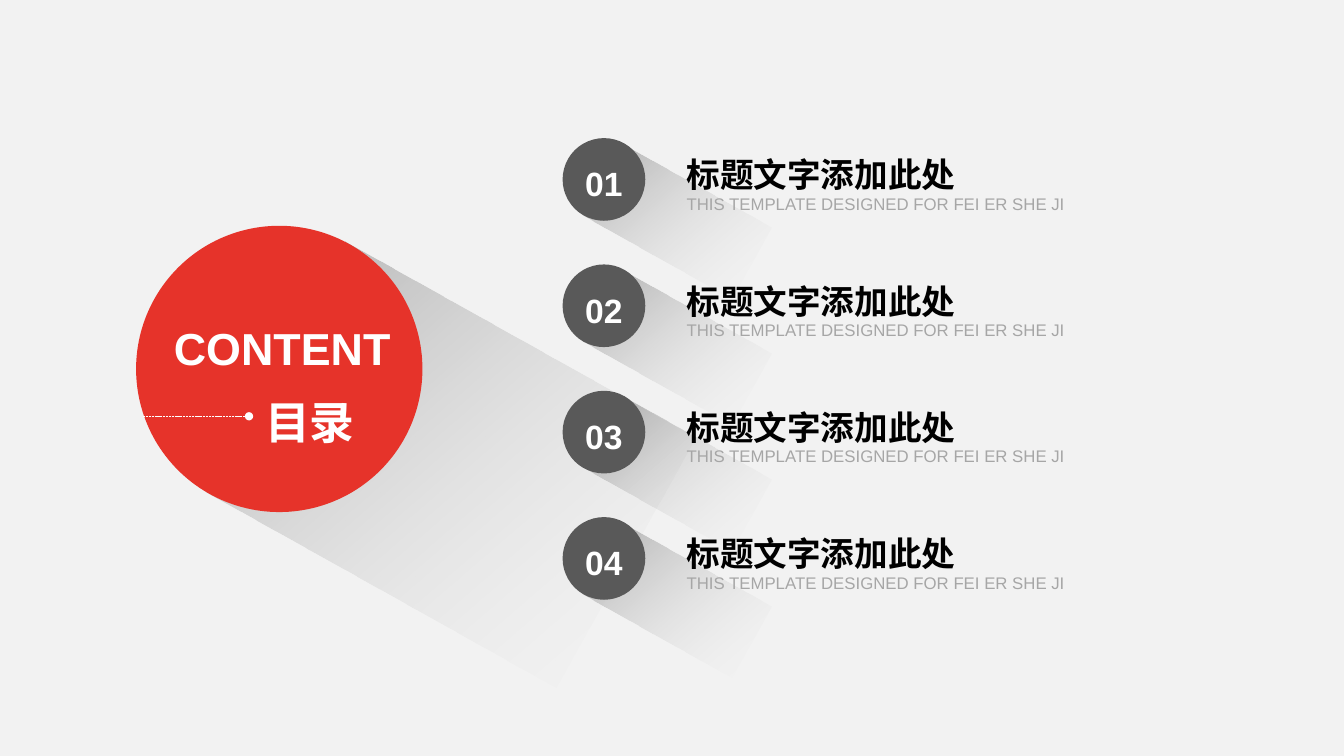
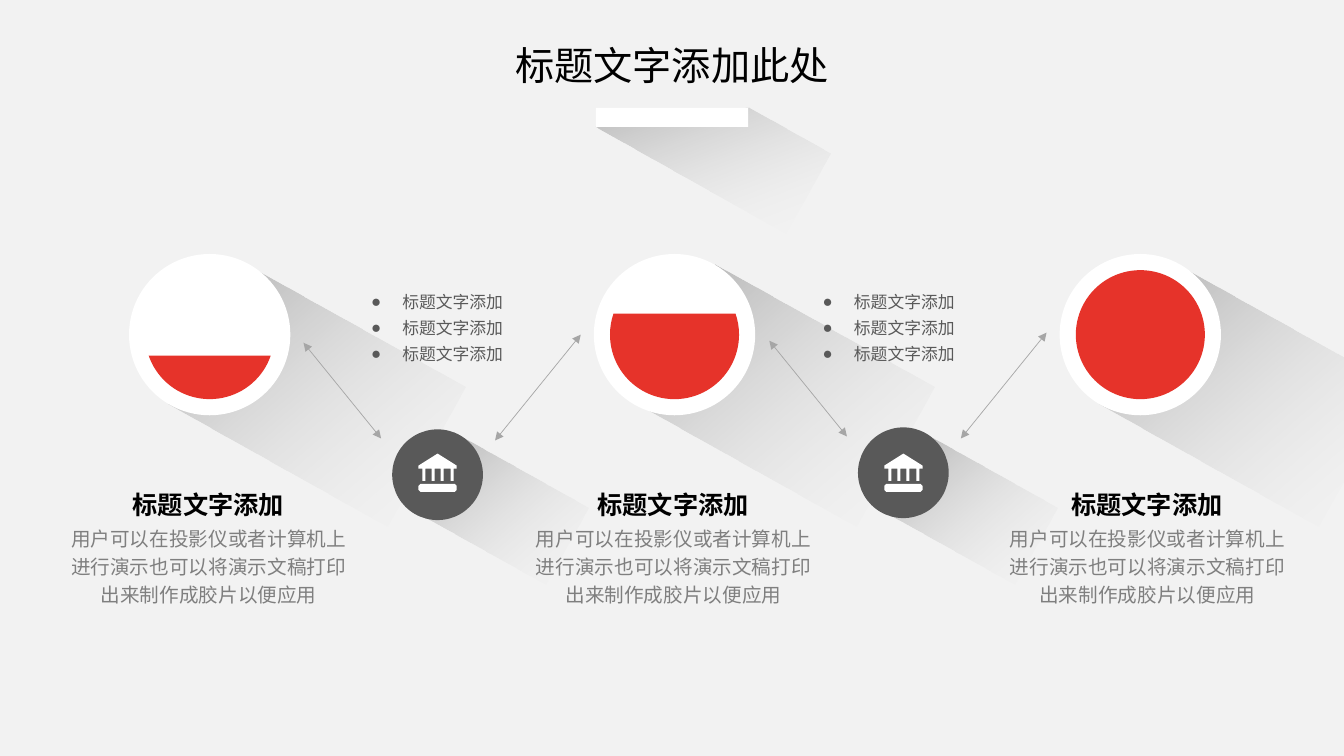
"""Build a contents slide and a three-stage process slide with long shadows."""
import lxml.etree
import pptx
import pptx.dml.color
import pptx.enum.dml
import pptx.enum.shapes
import pptx.enum.text
import pptx.oxml.ns
import pptx.util

Inches = pptx.util.Inches
Pt = pptx.util.Pt
RGB = pptx.dml.color.RGBColor.from_string
KIND = pptx.enum.shapes.MSO_SHAPE
ALIGN = pptx.enum.text.PP_ALIGN
qn = pptx.oxml.ns.qn

HUES = {"page": "F2F2F2", "red": "E6332A", "dark": "595959", "mid": "7F7F7F",
        "pale": "A6A6A6", "white": "FFFFFF", "black": "000000"}
SANS = "Arial"
HAN = "Noto Sans CJK SC"
TILT = 29.2


def paint(shape, hue=None, turn=20):
    """Fill a shape with one hue, or with a tilted fading shadow."""
    shape.shadow.inherit = False
    shape.line.fill.background()
    if hue:
        shape.fill.solid()
        shape.fill.fore_color.rgb = RGB(HUES[hue])
        return
    shape.rotation = TILT
    shape.fill.gradient()
    shape.fill.gradient_angle = 360 - turn
    for stop, tone, alpha in zip(shape.fill.gradient_stops, ("black", "page"), (30000, 0)):
        stop.color.rgb = RGB(HUES[tone])
    for node, alpha in zip(shape._element.iter(qn("a:srgbClr")), (30000, 0)):
        lxml.etree.SubElement(node, qn("a:alpha")).set("val", str(alpha))


def write(box, text, size, hue, face=HAN, bold=False, align=ALIGN.CENTER, gap=1.2, place=None):
    """Set the text of a box, format it and move the box if a place is given."""
    if place:
        box.left, box.top, box.width, box.height = [Inches(n) for n in place]
    frame = box.text_frame
    frame.text = text
    frame.word_wrap = True
    frame.auto_size = pptx.enum.text.MSO_AUTO_SIZE.NONE
    frame.vertical_anchor = pptx.enum.text.MSO_ANCHOR.TOP
    frame.margin_left = frame.margin_right = Inches(0.05)
    frame.margin_top = frame.margin_bottom = Inches(0.05)
    for par in frame.paragraphs:
        par.alignment = align
        par.line_spacing = gap
        par.space_before = Pt(0)
        for run in par.runs:
            font = run.font
            font.size = Pt(size)
            font.bold = bold
            font.color.rgb = RGB(HUES[hue])
            font.name = face
            lxml.etree.SubElement(run._r.get_or_add_rPr(), qn("a:ea")).set("typeface", face)


deck = pptx.Presentation()
deck.slide_width = Inches(13.33)
deck.slide_height = Inches(7.5)
back = deck.slide_master.background.fill
back.solid()
back.fore_color.rgb = RGB(HUES["page"])
wires = []

# Contents
slide = deck.slides.add_slide(deck.slide_layouts[5])
shapes = slide.shapes
paint(shapes.add_shape(KIND.RECTANGLE, Inches(2.48), Inches(3.19), Inches(3.98), Inches(2.84)))
paint(shapes.add_shape(KIND.OVAL, Inches(1.35), Inches(2.24), Inches(2.84), Inches(2.84)), "red")

for row in range(4):
    top = 1.37 + row * 3.76 / 3
    paint(shapes.add_shape(KIND.RECTANGLE, Inches(5.88), Inches(top + 0.42),
                           Inches(1.68), Inches(0.81)))
    disc = shapes.add_shape(KIND.OVAL, Inches(5.58), Inches(top), Inches(0.82), Inches(0.82))
    paint(disc, "dark")
    write(disc, f"{row + 1:02}", 24, "white", SANS, True)
    disc.text_frame.vertical_anchor = pptx.enum.text.MSO_ANCHOR.MIDDLE
    write(shapes.add_textbox(0, 0, 0, 0), "标题文字添加此处", 24, "black", bold=True,
          align=ALIGN.LEFT, place=(6.76, top + 0.03, 3.67, 0.56))
    write(shapes.add_textbox(0, 0, 0, 0), "THIS TEMPLATE DESIGNED FOR FEI ER SHE JI", 12, "pale",
          SANS, align=ALIGN.LEFT, gap=1, place=(6.76, top + 0.5, 5.34, 0.29))

title = shapes.title
write(title, "CONTENT", 32, "white", SANS, True, place=(1.52, 3.02, 2.56, 0.6))
shapes._spTree.append(title._element)
wire = shapes.add_connector(pptx.enum.shapes.MSO_CONNECTOR.STRAIGHT,
                            Inches(1.42), Inches(4.13), Inches(2.47), Inches(4.13))
wire.line.dash_style = pptx.enum.dml.MSO_LINE.SQUARE_DOT
wires.append((wire, "white", {"tailEnd": "oval"}))
write(shapes.add_textbox(0, 0, 0, 0), "目录", 32, "white", bold=True,
      place=(2.45, 3.76, 1.25, 0.73))

# Process
slide = deck.slides.add_slide(deck.slide_layouts[3])
shapes = slide.shapes
shades = [(4.2, 4.61, 1.52, 0.87), (8.85, 4.61, 1.52, 0.87)]
shades += [(left, 3.13, 2.49, 1.59) for left in (1.9, 6.55, 11.13)]
for shade in shades:
    paint(shapes.add_shape(KIND.RECTANGLE, *[Inches(n) for n in shade]))

pen = shapes.build_freeform(Inches(5.99), Inches(1.85), 1)
pen.add_line_segments([(Inches(x), Inches(y)) for x, y in
                       ((7.22, 0.94), (8.15, 0.94), (8.15, 1.85))])
paint(pen.convert_to_shape(), turn=40)
paint(shapes.add_shape(KIND.RECTANGLE, Inches(5.91), Inches(1.07), Inches(1.51), Inches(0.19)),
      "white")
title = shapes.title
write(title, "标题文字添加此处", 28, "black", gap=1, place=(5.05, 0.36, 3.23, 0.66))
title.text_frame.word_wrap = False
shapes._spTree.append(title._element)

note = "用户可以在投影仪或者计算机上进行演示也可以将演示文稿打印出来制作成胶片以便应用"
for left, dip, edge in zip((1.28, 5.89, 10.51), (19, -19, None), (0.56, 5.17, 9.87)):
    paint(shapes.add_shape(KIND.OVAL, Inches(left), Inches(2.52), Inches(1.6), Inches(1.6)),
          "white")
    level = shapes.add_shape(KIND.OVAL if dip is None else KIND.CHORD, Inches(left + 0.16),
                             Inches(2.68), Inches(1.28), Inches(1.28))
    paint(level, "red")
    if dip is not None:
        level.adjustments[0] = dip % 360 * 0.6
        level.adjustments[1] = (180 - dip) * 0.6
    write(shapes.add_textbox(0, 0, 0, 0), note, 14, "mid", place=(edge + 0.02, 5.13, 2.98, 1.04))
    write(shapes.add_textbox(0, 0, 0, 0), "标题文字添加", 18, "black", bold=True,
          place=(edge + 0.28, 4.75, 2.45, 0.45))

roof = [(0.19, 0), (0.38, 0.12), (0.38, 0.15)]
for post in (0.32, 0.22, 0.13, 0.04):
    roof += [(post + 0.03, 0.15), (post + 0.03, 0.27), (post, 0.27), (post, 0.15)]
roof += [(0, 0.15), (0, 0.12)]
base = [(0.02, 0.3), (0.36, 0.3), (0.38, 0.32), (0.38, 0.36),
        (0.36, 0.38), (0.02, 0.38), (0, 0.36), (0, 0.32)]

for left, top, edge, body in zip((3.89, 8.51), (4.26, 4.24), (3.63, 8.11),
                                 list(slide.placeholders)[1:]):
    for x, y, far, low in ((-0.88, -0.86, -0.11, 0.09), (1.87, -0.94, 1.02, 0.11)):
        wire = shapes.add_connector(pptx.enum.shapes.MSO_CONNECTOR.STRAIGHT, Inches(left + x),
                                    Inches(top + y), Inches(left + far), Inches(top + low))
        wires.append((wire, "pale", {"headEnd": "triangle", "tailEnd": "triangle"}))
    paint(shapes.add_shape(KIND.OVAL, Inches(left), Inches(top), Inches(0.9), Inches(0.9)), "dark")
    for part in (roof, base):
        spots = [(Inches(left + 0.26 + x), Inches(4.5 + y)) for x, y in part]
        pen = shapes.build_freeform(*spots[0], 1)
        pen.add_line_segments(spots[1:])
        paint(pen.convert_to_shape(), "white")
    write(body, "\n".join(["标题文字添加"] * 3), 12, "dark", align=ALIGN.JUSTIFY,
          place=(edge, 2.8, 1.7, 0.98))
    for count, par in enumerate(body.text_frame.paragraphs):
        par.space_before = Pt(1.6 if count else 0)
        props = par._p.get_or_add_pPr()
        props.set("marL", str(Inches(0.31)))
        props.set("indent", str(-Inches(0.31)))
        lxml.etree.SubElement(props, qn("a:buFont")).set("typeface", SANS)
        lxml.etree.SubElement(props, qn("a:buChar")).set("char", "●")
    shapes._spTree.append(body._element)

for wire, hue, ends in wires:
    wire.line.color.rgb = RGB(HUES[hue])
    wire.line.width = Pt(0.5)
    for tag, tip in ends.items():
        lxml.etree.SubElement(wire.line._get_or_add_ln(), qn("a:" + tag)).set("type", tip)
    lxml.etree.SubElement(wire._element.spPr, qn("a:effectLst"))

deck.save("out.pptx")
